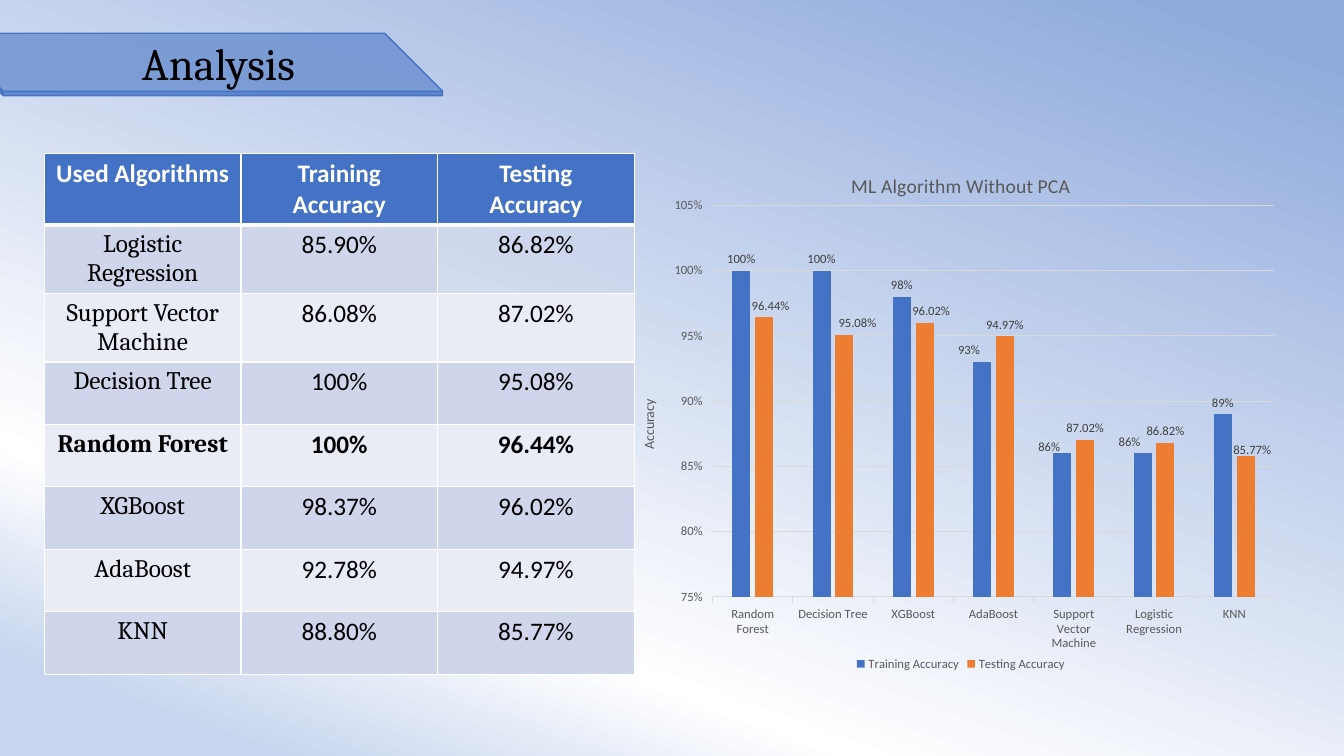
"""Build the Analysis slide: an accuracy table beside a column chart."""
import copy

import lxml.etree
import pptx
import pptx.chart.data
import pptx.dml.color
import pptx.enum.chart
import pptx.enum.shapes
import pptx.enum.text
import pptx.oxml
import pptx.oxml.ns
import pptx.util

RGBColor = pptx.dml.color.RGBColor
Inches = pptx.util.Inches
Pt = pptx.util.Pt
qn = pptx.oxml.ns.qn

HEADERS = ["Used Algorithms", "Training\nAccuracy", "Testing\nAccuracy"]
ACCURACY = {
    "Logistic Regression": ("85.90%", "86.82%"),
    "Support Vector Machine": ("86.08%", "87.02%"),
    "Decision Tree": ("100%", "95.08%"),
    "Random Forest": ("100%", "96.44%"),
    "XGBoost": ("98.37%", "96.02%"),
    "AdaBoost": ("92.78%", "94.97%"),
    "KNN": ("88.80%", "85.77%"),
}
BEST = "Random Forest"
CHART_ORDER = ["Random Forest", "Decision Tree", "XGBoost", "AdaBoost",
               "Support Vector Machine", "Logistic Regression", "KNN"]

BLUE = RGBColor(0x44, 0x72, 0xC4)
ORANGE = RGBColor(0xED, 0x7D, 0x31)
WHITE = RGBColor(0xFF, 0xFF, 0xFF)
BLACK = RGBColor(0, 0, 0)
BANDS = [RGBColor(0xCF, 0xD5, 0xEA), RGBColor(0xE9, 0xEB, 0xF5)]
GRID_GRAY = RGBColor(0xD9, 0xD9, 0xD9)
TEXT_GRAY = RGBColor(0x59, 0x59, 0x59)
LABEL_GRAY = RGBColor(0x40, 0x40, 0x40)
BACKGROUND_STOPS = [(8, RGBColor(0xC7, 0xD5, 0xEE)), (25, WHITE),
                    (95, RGBColor(0x8F, 0xAA, 0xDC))]

SERIES = [
    ("Training Accuracy", BLUE, "0%", 2,
     {3: (-0.02, 0), 4: (-0.02, 0.01), 5: (-0.02, 0)}),
    ("Testing Accuracy", ORANGE, "0.00%", 4,
     {0: (0.01, 0), 1: (0.02, 0), 2: (0.01, 0), 6: (0.01, 0.01)}),
]
PLOT_AREA = {"x": 0.12, "y": 0.1, "w": 0.86, "h": 0.75}
TABLE_LEFT, CONTENT_TOP, COLUMN_WIDTH = 0.44, 1.52, 1.95
HEADER_HEIGHT, ROW_HEIGHT, BOTTOM_MARGIN = 0.71, 0.62, 0.03
CHART_LEFT = TABLE_LEFT + len(HEADERS) * COLUMN_WIDTH
CHART_WIDTH, CHART_HEIGHT = 6.48, 5.18


def style_font(font, size, color, name="Calibri", bold=False):
    font.size, font.name, font.bold = Pt(size), name, bold
    font.color.rgb = color


def set_opacity(fill_owner, percent):
    color = fill_owner.find(qn("a:solidFill"))[0]
    lxml.etree.SubElement(color, qn("a:alpha"), val=str(percent * 1000))


def insert_element(parent, index, tag, **attributes):
    element = parent.makeelement(qn(tag), attributes)
    parent.insert(index, element)
    return element


def add_manual_layout(parent, index, values):
    layout = insert_element(parent, index, "c:layout")
    manual = lxml.etree.SubElement(layout, qn("c:manualLayout"))
    for name, value in values.items():
        lxml.etree.SubElement(manual, qn("c:" + name), val=str(value))


def paint_background(slide):
    fill = slide.background.fill
    fill.gradient()
    fill.gradient_angle = 70
    stop_list = slide.element.find(".//" + qn("a:gsLst"))
    stop_list.insert(1, copy.deepcopy(stop_list[0]))
    for stop, (position, color) in zip(fill.gradient_stops, BACKGROUND_STOPS):
        stop.position = position / 100
        stop.color.rgb = color


def add_heading(slide):
    banner = slide.shapes.add_shape(
        pptx.enum.shapes.MSO_SHAPE.CUBE,
        Inches(-0.54), Inches(0.33), Inches(4.93), Inches(0.62))
    banner.adjustments[0] = 0.927
    banner.shadow.inherit = False
    banner.fill.solid()
    banner.fill.fore_color.rgb = BLUE
    banner.line.color.rgb = BLUE
    banner.line.width = Pt(1)
    properties = banner.element.spPr
    properties.find(qn("a:xfrm")).set("flipH", "1")
    set_opacity(properties, 80)
    heading = slide.shapes.add_textbox(
        Inches(1.31), Inches(0.31), Inches(1.8), Inches(0.64)).text_frame
    heading.word_wrap = False
    heading.auto_size = pptx.enum.text.MSO_AUTO_SIZE.SHAPE_TO_FIT_TEXT
    heading.text = "Analysis"
    style_font(heading.paragraphs[0].font, 32, BLACK, "Cambria")


def add_borders(cell, bottom_width):
    properties = cell._tc.get_or_add_tcPr()
    for index, side in enumerate("LRTB"):
        width = bottom_width if side == "B" else 1
        border = insert_element(properties, index, "a:ln" + side, w=str(Pt(width)))
        fill = lxml.etree.SubElement(border, qn("a:solidFill"))
        lxml.etree.SubElement(fill, qn("a:srgbClr"), val=str(WHITE))


def add_accuracy_table(slide):
    rows = [HEADERS] + [[name, *values] for name, values in ACCURACY.items()]
    table = slide.shapes.add_table(
        len(rows), len(HEADERS), Inches(TABLE_LEFT), Inches(CONTENT_TOP),
        Inches(COLUMN_WIDTH * len(HEADERS)), Inches(ROW_HEIGHT * len(rows))).table
    table.rows[0].height = Inches(HEADER_HEIGHT)
    for row_index, row in enumerate(rows):
        header = row_index == 0
        for column_index, text in enumerate(row):
            cell = table.cell(row_index, column_index)
            cell.text = text
            cell.margin_bottom = Inches(BOTTOM_MARGIN)
            cell.fill.solid()
            cell.fill.fore_color.rgb = BLUE if header else BANDS[(row_index - 1) % 2]
            add_borders(cell, 3 if header else 1)
            name = "Cambria" if column_index == 0 and not header else "Calibri"
            for paragraph in cell.text_frame.paragraphs:
                paragraph.alignment = pptx.enum.text.PP_ALIGN.CENTER
                style_font(paragraph.font, 18, WHITE if header else BLACK, name,
                           header or row[0] == BEST)
    set_opacity(table.cell(1, 2)._tc.tcPr, 37)


def add_title(owner, text, size):
    frame = owner.text_frame
    frame.text = text
    style_font(frame.paragraphs[0].font, size, TEXT_GRAY)


def label_series(series, number_format, shifts):
    labels = series.data_labels
    labels.show_value = True
    labels.number_format = number_format
    labels.number_format_is_linked = False
    labels.position = pptx.enum.chart.XL_LABEL_POSITION.OUTSIDE_END
    style_font(labels.font, 9, LABEL_GRAY)
    for index, (x, y) in shifts.items():
        label = series.points[index].data_label
        label.position = pptx.enum.chart.XL_LABEL_POSITION.OUTSIDE_END
        style_font(label.font, 9, LABEL_GRAY)
        element = labels._element.findall(qn("c:dLbl"))[-1]
        add_manual_layout(element, 1, {"x": x, "y": y})
        insert_element(element, 2, "c:numFmt", formatCode=number_format, sourceLinked="0")


def add_accuracy_chart(slide):
    data = pptx.chart.data.CategoryChartData()
    data.categories = CHART_ORDER
    for index, (name, _, number_format, digits, _) in enumerate(SERIES):
        percents = [float(ACCURACY[item][index].rstrip("%")) for item in CHART_ORDER]
        data.add_series(name, [round(percent / 100, digits) for percent in percents],
                        number_format)
    chart = slide.shapes.add_chart(
        pptx.enum.chart.XL_CHART_TYPE.COLUMN_CLUSTERED, Inches(CHART_LEFT),
        Inches(CONTENT_TOP), Inches(CHART_WIDTH), Inches(CHART_HEIGHT), data).chart
    style_font(chart.font, 10, BLACK)
    add_title(chart.chart_title, "ML Algorithm Without PCA", 14)
    chart.has_legend = True
    chart.legend.position = pptx.enum.chart.XL_LEGEND_POSITION.BOTTOM
    chart.legend.include_in_layout = False
    style_font(chart.legend.font, 9, TEXT_GRAY)
    plot = chart.plots[0]
    plot.gap_width, plot.overlap, plot.vary_by_categories = 219, -27, False
    for series, (_, color, number_format, _, shifts) in zip(plot.series, SERIES):
        series.format.fill.solid()
        series.format.fill.fore_color.rgb = color
        label_series(series, number_format, shifts)
    categories, values = chart.category_axis, chart.value_axis
    for axis in (categories, values):
        style_font(axis.tick_labels.font, 9, TEXT_GRAY)
    values.minimum_scale, values.maximum_scale, values.major_unit = 0.75, 1.05, 0.05
    values.tick_labels.number_format = "0%"
    values.tick_labels.number_format_is_linked = False
    values.format.line.fill.background()
    for line in (categories.format.line, values.major_gridlines.format.line):
        line.color.rgb = GRID_GRAY
        line.width = Pt(0.75)
    add_title(values.axis_title, "Accuracy", 10)
    plot_area = chart._chartSpace.find(".//" + qn("c:plotArea"))
    for layout in plot_area.findall(qn("c:layout")):
        plot_area.remove(layout)
    add_manual_layout(plot_area, 0, {"layoutTarget": "inner", "xMode": "edge",
                                     "yMode": "edge", **PLOT_AREA})


def main():
    presentation = pptx.Presentation()
    presentation.slide_width, presentation.slide_height = Inches(13.33), Inches(7.5)
    slide = presentation.slides.add_slide(presentation.slide_layouts[6])
    paint_background(slide)
    add_heading(slide)
    add_accuracy_table(slide)
    add_accuracy_chart(slide)
    presentation.save("out.pptx")


if __name__ == "__main__":
    main()
